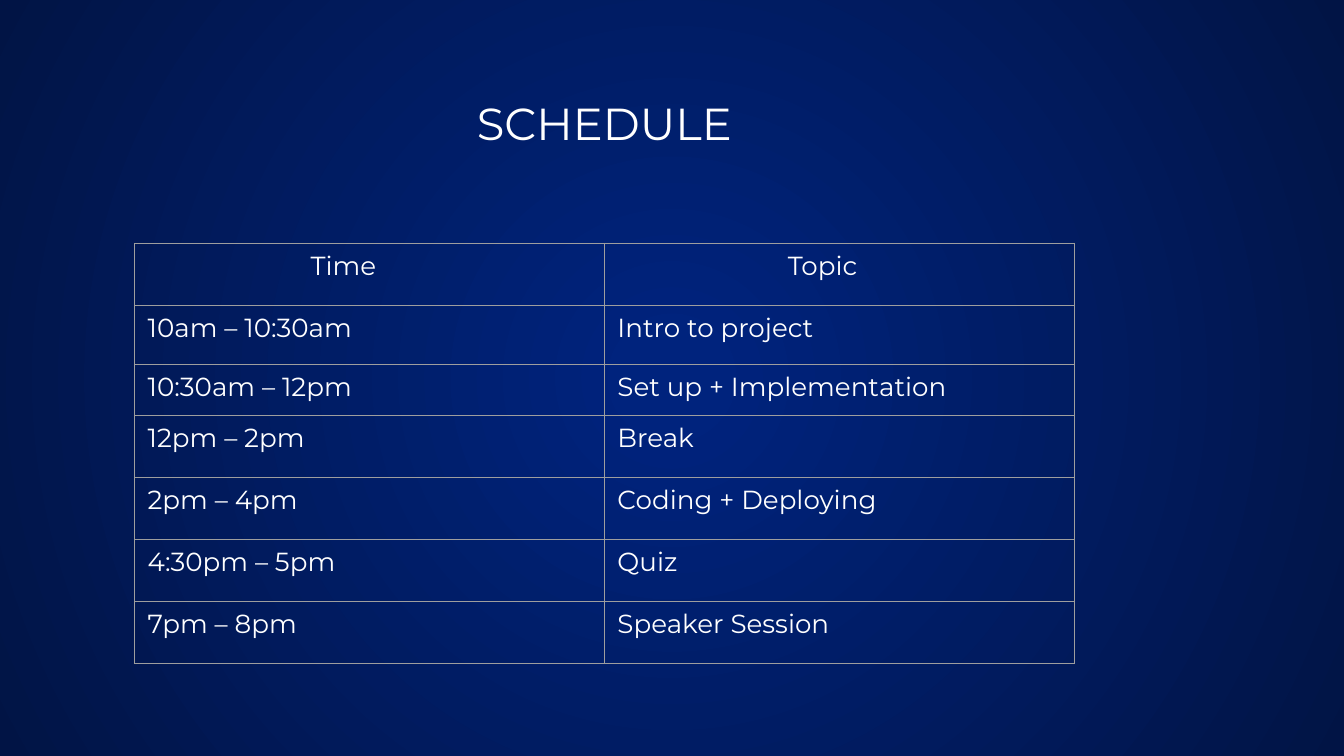
from dataclasses import dataclass

from lxml.etree import SubElement
from pptx import Presentation
from pptx.dml.color import RGBColor
from pptx.enum.text import MSO_ANCHOR, PP_ALIGN
from pptx.oxml.ns import qn
from pptx.util import Cm, Pt

TITLE = "SCHEDULE"
HEADER = ("Time", "Topic")
SESSIONS = [
    ("10am – 10:30am", "Intro to project"),
    ("10:30am – 12pm", "Set up + Implementation"),
    ("12pm – 2pm", "Break"),
    ("2pm – 4pm", "Coding + Deploying"),
    ("4:30pm – 5pm", "Quiz"),
    ("7pm – 8pm", "Speaker Session"),
]

ROW_HEIGHT = Cm(1.17)
SHORTER_ROWS = {1: Cm(1.12), 2: Cm(0.97)}
COLUMN_WIDTH = Cm(8.88)
HEADER_INDENTS = (Cm(3.33), Cm(3.47))
CELL_INSET = Cm(0.25)
CELL_TOP = Cm(0.13)


@dataclass(frozen=True)
class Theme:
    font: str = "Montserrat"
    text: str = "FFFFFF"
    border: str = "9E9E9E"
    glow: str = "00237D"
    edge: str = "011445"
    title_size: int = 24
    table_size: int = 14
    border_width: float = 0.75


THEME = Theme()


def format_text(text_frame, size):
    for paragraph in text_frame.paragraphs:
        for run in paragraph.runs:
            run.font.name = THEME.font
            run.font.size = Pt(size)
            run.font.bold = False
            run.font.color.rgb = RGBColor.from_string(THEME.text)


def paint_background(slide):
    """Fill the slide with a gradient that spreads in circles from its centre."""
    fill = slide.background.fill
    fill.gradient()
    stops = ((0.05, THEME.glow), (1, THEME.edge))
    for stop, (position, color) in zip(fill.gradient_stops, stops):
        stop.position = position
        stop.color.rgb = RGBColor.from_string(color)
    gradient = next(slide.element.iter(qn("a:gradFill")))
    gradient.remove(gradient.find(qn("a:lin")))
    path = SubElement(gradient, qn("a:path"), path="circle")
    SubElement(path, qn("a:fillToRect"), dict.fromkeys("ltrb", "50000"))


def add_borders(cell):
    properties = cell._tc.get_or_add_tcPr()
    for side in ("a:lnL", "a:lnR", "a:lnT", "a:lnB"):
        line = SubElement(properties, qn(side), w=str(Pt(THEME.border_width)))
        fill = SubElement(line, qn("a:solidFill"))
        SubElement(fill, qn("a:srgbClr"), val=THEME.border)


def add_title(slide):
    title = slide.shapes.title
    title.left, title.top, title.width, title.height = Cm(7.52), Cm(1.27), Cm(7.8), Cm(2.11)
    frame = title.text_frame
    frame.text = TITLE
    frame.word_wrap = True
    frame.vertical_anchor = MSO_ANCHOR.MIDDLE
    frame.margin_left = frame.margin_right = Cm(0.25)
    frame.margin_top = frame.margin_bottom = Cm(0.25)
    frame.paragraphs[0].alignment = PP_ALIGN.CENTER
    format_text(frame, THEME.title_size)


def add_schedule(slide):
    rows = [HEADER, *SESSIONS]
    heights = [SHORTER_ROWS.get(index, ROW_HEIGHT) for index in range(len(rows))]
    table = slide.shapes.add_table(
        len(rows), len(HEADER), Cm(2.54), Cm(4.6),
        COLUMN_WIDTH * len(HEADER), sum(heights)).table
    table.first_row = table.horz_banding = False
    for column in table.columns:
        column.width = COLUMN_WIDTH
    for row_index, texts in enumerate(rows):
        table.rows[row_index].height = heights[row_index]
        for column_index, text in enumerate(texts):
            cell = table.cell(row_index, column_index)
            cell.text = text
            cell.margin_left = CELL_INSET if row_index else HEADER_INDENTS[column_index]
            cell.margin_right = CELL_INSET
            cell.margin_top = cell.margin_bottom = CELL_TOP
            format_text(cell.text_frame, THEME.table_size)
            add_borders(cell)
            cell.fill.background()


def main():
    presentation = Presentation()
    presentation.slide_width, presentation.slide_height = Cm(25.4), Cm(14.29)
    slide = presentation.slides.add_slide(presentation.slide_layouts[5])
    paint_background(slide)
    add_title(slide)
    add_schedule(slide)
    presentation.save("out.pptx")


if __name__ == "__main__":
    main()
